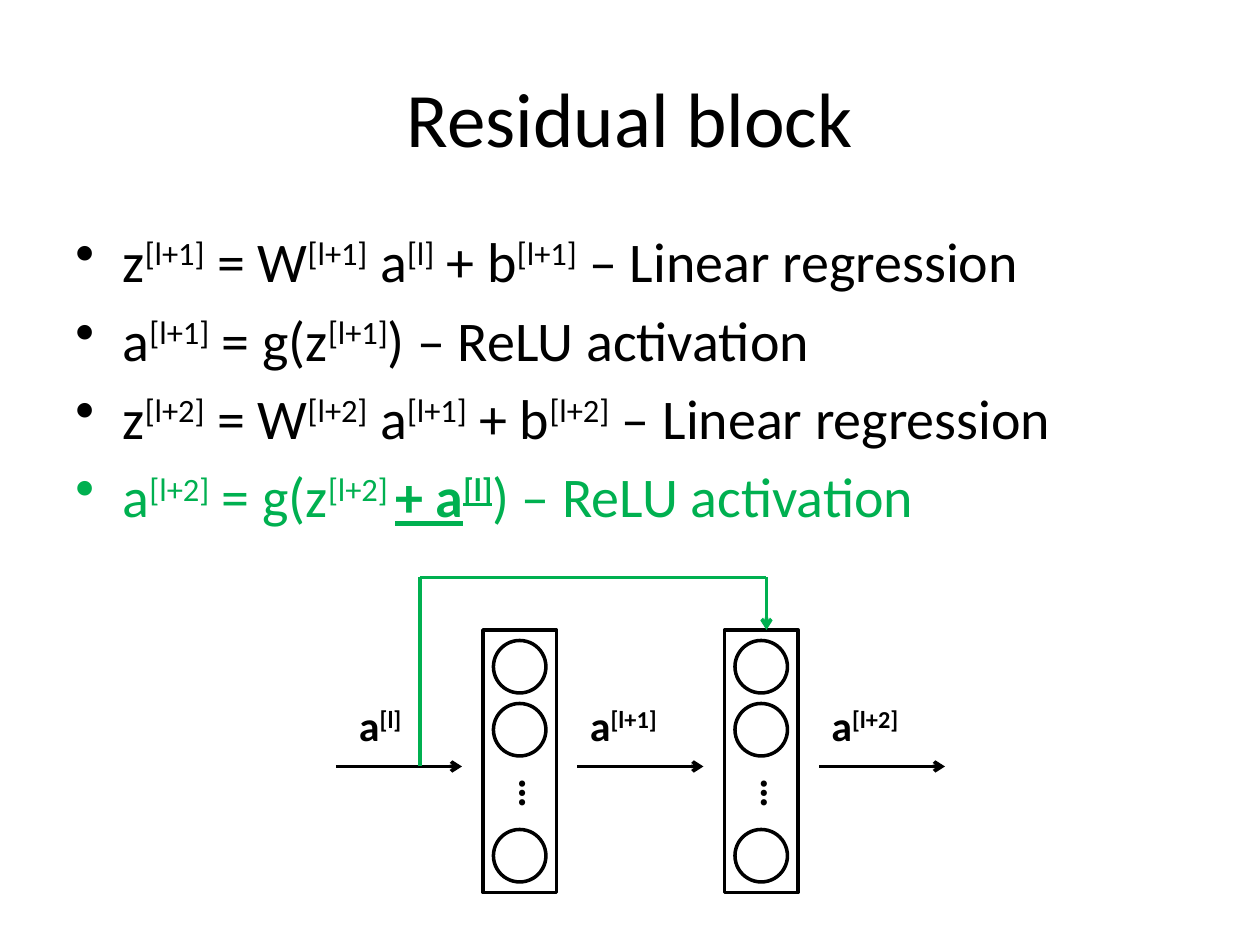
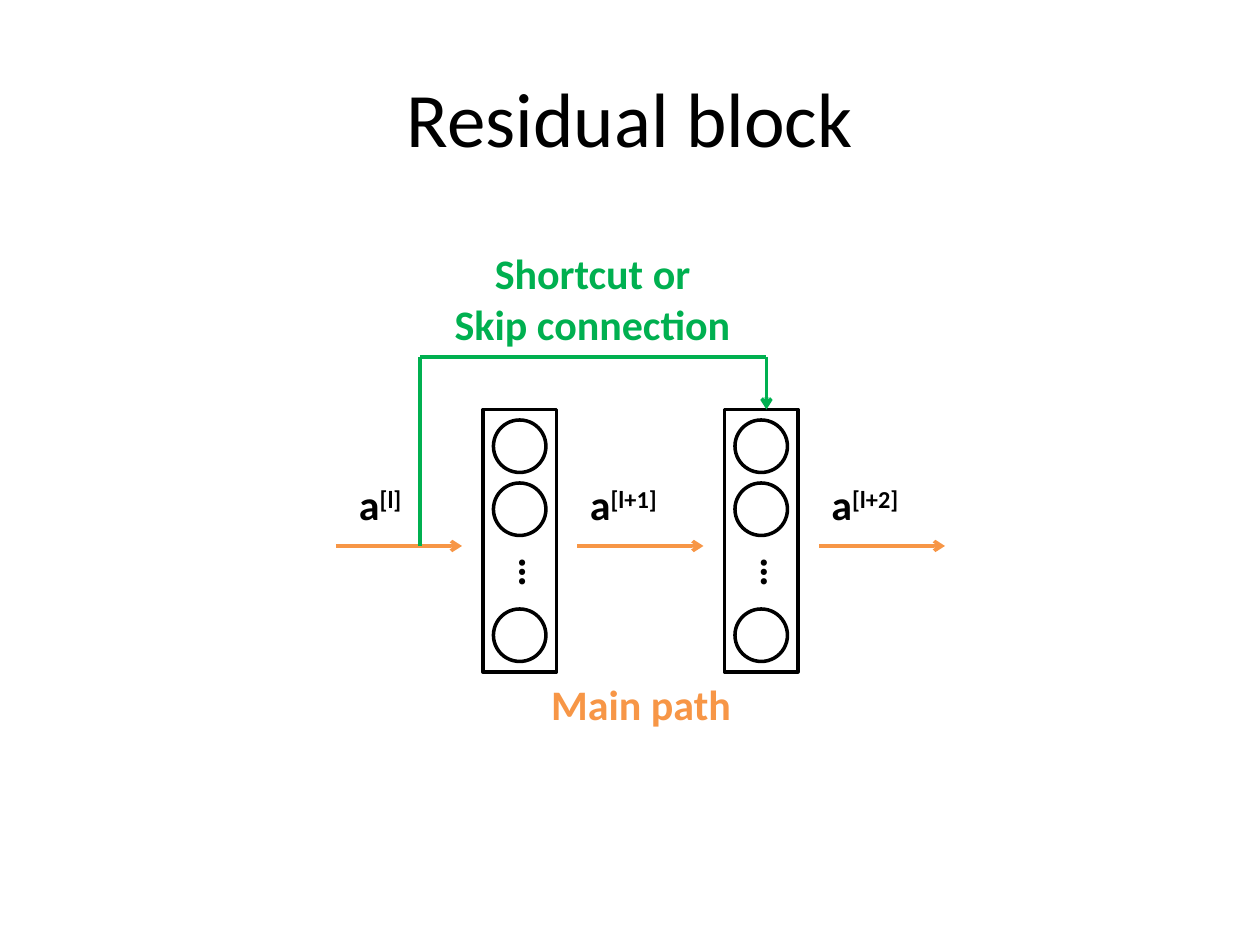
from dataclasses import dataclass

from lxml.etree import SubElement
from pptx import Presentation
from pptx.dml.color import RGBColor
from pptx.enum.shapes import MSO_CONNECTOR as Connector, MSO_SHAPE as Shape
from pptx.enum.text import MSO_ANCHOR as Anchor, PP_ALIGN as Align
from pptx.oxml.ns import qn
from pptx.util import Emu, Pt


@dataclass(frozen=True)
class Theme:
    font: str = "Calibri"
    ink: str = "000000"
    shortcut: str = "00B050"
    main_path: str = "F79646"
    title_size: int = 44
    body_size: int = 32
    label_size: int = 24
    line_width: int = 2


THEME = Theme()
EMU_PER_PX = 9525
TITLE_BOX = (48, 29, 864, 120)
BODY_BOX = (48, 168, 864, 475)
NETWORK_LEFT = 256
BULLET_INDENT = 36

LAYER_STEP = 184
LAYER_LEFT, LAYER_TOP = 112, 40
LAYER_WIDTH, LAYER_HEIGHT = 56, 200
NEURON_SIZE, NEURON_GAP = 40, 8
NEURON_SLOTS = (0, 1, 3)
FLOW_Y, FLOW_LENGTH = 144, 96
LABEL_TOP, LABEL_HEIGHT = 88, 48
SHORTCUT_START, SHORTCUT_END = 64, 328
# text, left shift and width of the label above each arrow
ACTIVATIONS = (("a^[l]", 8, 72), ("a^[l+1]", 0, 88), ("a^[l+2]", 0, 88))

# Each equation: its colour and its (text, emphasised) parts
EQUATIONS = (
    (THEME.ink, [("z^[l+1]^ = W^[l+1]^ a^[l]^ + b^[l+1]^ – Linear regression", False)]),
    (THEME.ink, [("a^[l+1]^ = g(z^[l+1]^) – ReLU activation", False)]),
    (THEME.ink, [("z^[l+2]^ = W^[l+2]^ a^[l+1]^ + b^[l+2]^ – Linear regression", False)]),
    (THEME.shortcut, [("a^[l+2]^ = g(z^[l+2] ^", False), ("+ a^[l]", True),
                      (") – ReLU activation", False)]),
)


def px(length):
    return Emu(length * EMU_PER_PX)


def rgb(colour):
    return RGBColor.from_string(colour)


def add_runs(paragraph, text, size, colour, bold=False, underline=False):
    """Add text in which each ^ switches superscript on or off."""
    for index, piece in enumerate(text.split("^")):
        if not piece:
            continue
        run = paragraph.add_run()
        run.text = piece
        font = run.font
        font.name, font.size = THEME.font, Pt(size)
        font.bold, font.underline = bold, underline
        font.color.rgb = rgb(colour)
        if index % 2:
            run._r.get_or_add_rPr().set("baseline", "30000")


def add_text_frame(shapes, box, wrap=True):
    textbox = shapes.add_textbox(*map(px, box))
    textbox.text_frame.word_wrap = wrap
    return textbox


def add_label(shapes, box, lines, colour=THEME.ink, align=Align.LEFT, wrap=True):
    label = add_text_frame(shapes, box, wrap)
    frame = label.text_frame
    for index, line in enumerate(lines):
        paragraph = frame.add_paragraph() if index else frame.paragraphs[0]
        paragraph.alignment = align
        add_runs(paragraph, line, THEME.label_size, colour, bold=True)
    return label


def add_outline(shapes, kind, box):
    outline = shapes.add_shape(kind, *map(px, box))
    outline.shadow.inherit = False
    outline.fill.background()
    outline.line.color.rgb = rgb(THEME.ink)
    outline.line.width = Pt(THEME.line_width)


def add_line(shapes, start, end, colour, arrow=False):
    line = shapes.add_connector(Connector.STRAIGHT, *map(px, (*start, *end)))
    line.line.color.rgb = rgb(colour)
    line.line.width = Pt(THEME.line_width)
    properties = line._element.spPr
    if arrow:
        SubElement(properties.find(qn("a:ln")), qn("a:tailEnd"), type="arrow")
    SubElement(properties, qn("a:effectLst"))


def add_title(slide, text):
    frame = add_text_frame(slide.shapes, TITLE_BOX).text_frame
    frame.vertical_anchor = Anchor.MIDDLE
    paragraph = frame.paragraphs[0]
    paragraph.alignment = Align.CENTER
    add_runs(paragraph, text, THEME.title_size, THEME.ink)


def set_bullet(paragraph, colour):
    properties = paragraph._p.get_or_add_pPr()
    properties.set("marL", str(px(BULLET_INDENT)))
    properties.set("indent", str(-px(BULLET_INDENT)))
    spacing = SubElement(properties, qn("a:spcBef"))
    SubElement(spacing, qn("a:spcPct"), val="20000")
    bullet_colour = SubElement(properties, qn("a:buClr"))
    SubElement(bullet_colour, qn("a:srgbClr"), val=colour)
    SubElement(properties, qn("a:buChar"), char="•")


def add_equations(slide, box):
    frame = add_text_frame(slide.shapes, box).text_frame
    for index, (colour, parts) in enumerate(EQUATIONS):
        paragraph = frame.add_paragraph() if index else frame.paragraphs[0]
        set_bullet(paragraph, colour)
        for text, emphasised in parts:
            add_runs(paragraph, text, THEME.body_size, colour, emphasised, emphasised)


def add_layer(shapes, left, top):
    add_outline(shapes, Shape.RECTANGLE, (left, top, LAYER_WIDTH, LAYER_HEIGHT))
    for slot in NEURON_SLOTS:
        neuron_top = top + NEURON_GAP + slot * (NEURON_SIZE + NEURON_GAP)
        add_outline(shapes, Shape.OVAL,
                    (left + NEURON_GAP, neuron_top, NEURON_SIZE, NEURON_SIZE))
    add_label(shapes, (left + 26, top + 94, 29, 48), ["…"]).rotation = 90


def add_shortcut(shapes, left, top):
    start_x, end_x = left + SHORTCUT_START, left + SHORTCUT_END
    corners = ((start_x, top + FLOW_Y), (start_x, top),
               (end_x, top), (end_x, top + LAYER_TOP))
    for index, (start, end) in enumerate(zip(corners, corners[1:])):
        add_line(shapes, start, end, THEME.shortcut, arrow=index == 2)


def add_network(slide, left, top, flow_colour):
    """Draw two layers, the arrows through them and the shortcut around."""
    shapes = slide.shapes.add_group_shape().shapes
    for index in range(2):
        add_layer(shapes, left + LAYER_LEFT + index * LAYER_STEP, top + LAYER_TOP)
    for index, (activation, shift, width) in enumerate(ACTIVATIONS):
        x, y = left + index * LAYER_STEP, top + FLOW_Y
        add_line(shapes, (x, y), (x + FLOW_LENGTH, y), flow_colour, arrow=True)
        add_label(shapes, (x + shift, top + LABEL_TOP, width, LABEL_HEIGHT), [activation])
    add_shortcut(shapes, left, top)
    return shapes


def add_path_names(shapes, left, top):
    add_label(shapes, (left + 80, top - 88, 231, 88), ["Shortcut or", "Skip connection"],
              THEME.shortcut, Align.CENTER, wrap=False)
    add_label(shapes, (left + 154, top + LAYER_TOP + LAYER_HEIGHT, 157, LABEL_HEIGHT),
              ["Main path"], THEME.main_path, Align.CENTER, wrap=False)


def add_titled_slide(deck):
    slide = deck.slides.add_slide(deck.slide_layouts[6])
    add_title(slide, "Residual block")
    return slide


def build_equation_slide(deck):
    slide = add_titled_slide(deck)
    add_equations(slide, BODY_BOX)
    add_network(slide, NETWORK_LEFT, 440, THEME.ink)


def build_path_slide(deck):
    slide = add_titled_slide(deck)
    network_top = 272
    network = add_network(slide, NETWORK_LEFT, network_top, THEME.main_path)
    add_path_names(network, NETWORK_LEFT, network_top)


def main():
    deck = Presentation()
    deck.slide_width, deck.slide_height = px(960), px(720)
    build_equation_slide(deck)
    build_path_slide(deck)
    deck.save("out.pptx")


if __name__ == "__main__":
    main()
